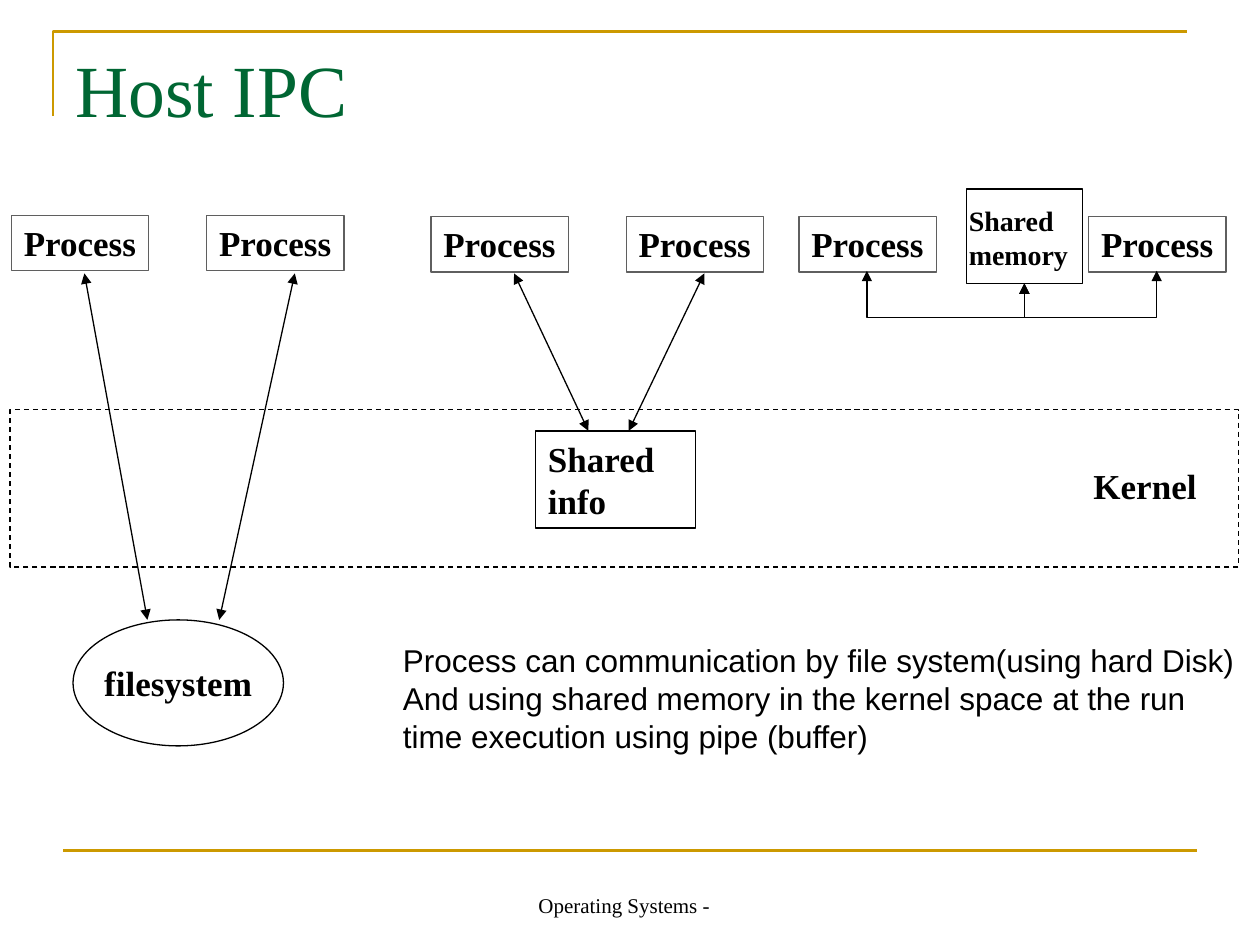
import pptx
import pptx.dml.color
import pptx.enum.dml
import pptx.enum.shapes
import pptx.enum.text
import pptx.oxml
import pptx.oxml.ns
import pptx.util
from pptx.util import Inches

SERIF = "Times New Roman"
BLACK, GREY, GOLD, GREEN = "000000", "5F5F5F", "CC9900", "006633"
SHAPES = pptx.enum.shapes.MSO_SHAPE
CONNECTORS = pptx.enum.shapes.MSO_CONNECTOR
ALIGN = pptx.enum.text.PP_ALIGN
ANCHOR = pptx.enum.text.MSO_ANCHOR


def color(hex_value):
    return pptx.dml.color.RGBColor.from_string(hex_value)


def write(box, text, size=20, font=SERIF, bold=True, ink=BLACK, align=ALIGN.LEFT,
          anchor=ANCHOR.TOP, wrap=True, right=0.1):
    """Fill a shape with text, one paragraph per line."""
    frame = box.text_frame
    frame.word_wrap = wrap
    frame.auto_size = pptx.enum.text.MSO_AUTO_SIZE.NONE
    frame.vertical_anchor = anchor
    frame.margin_left, frame.margin_right = Inches(0.1), Inches(right)
    frame.margin_top = frame.margin_bottom = Inches(0.05)
    for index, line in enumerate(text.split("\n")):
        para = frame.add_paragraph() if index else frame.paragraphs[0]
        para.alignment = align
        para.line_spacing = 1
        span = para.add_run()
        span.text = line
        span.font.size = pptx.util.Pt(size)
        span.font.name = font
        span.font.bold = bold
        span.font.color.rgb = color(ink)


def set_line(item, ink, width):
    item.line.color.rgb = color(ink)
    item.line.width = pptx.util.Pt(width)


def add_outline(page, kind, left, top, width, height, ink=BLACK):
    shape = page.shapes.add_shape(kind, Inches(left), Inches(top), Inches(width), Inches(height))
    shape.shadow.inherit = False
    shape.fill.background()
    set_line(shape, ink, 0.75)
    return shape


def add_text(page, left, top, width, height, text, **style):
    box = page.shapes.add_textbox(Inches(left), Inches(top), Inches(width), Inches(height))
    write(box, text, **style)


def add_process(page, left, top):
    box = add_outline(page, SHAPES.RECTANGLE, left, top, 1.09, 0.44, GREY)
    write(box, "Process", wrap=False)


def add_line(page, start, end, ink=BLACK, width=0.75, kind=CONNECTORS.STRAIGHT, arrows=True):
    line = page.shapes.add_connector(kind, *(Inches(value) for value in (*start, *end)))
    set_line(line, ink, width)
    properties = line._element.spPr
    properties.append(pptx.oxml.parse_xml(f'<a:effectLst {pptx.oxml.ns.nsdecls("a")}/>'))
    if arrows:
        for tag in ("headEnd", "tailEnd"):
            line.line._get_or_add_ln().append(pptx.oxml.parse_xml(
                f'<a:{tag} {pptx.oxml.ns.nsdecls("a")} type="triangle"/>'))
    return line


def add_bent_arrow(page, start, end, drop):
    """Join two points by an elbow that runs at a depth of drop below the start."""
    middle_x, middle_y = (start[0] + end[0]) / 2, (start[1] + end[1]) / 2
    half_width, half_height = abs(start[1] - end[1]) / 2, abs(start[0] - end[0]) / 2
    # The elbow is laid out sideways around its centre, then turned by a quarter.
    side = 1 if end[0] > start[0] else -1
    line = add_line(page, (middle_x + side * half_width, middle_y + half_height),
                    (middle_x - side * half_width, middle_y - half_height),
                    kind=CONNECTORS.ELBOW)
    properties = line._element.spPr
    properties.find(pptx.oxml.ns.qn("a:xfrm")).set("rot", str((90 if side > 0 else 270) * 60000))
    geometry = properties.find(pptx.oxml.ns.qn("a:prstGeom"))
    for old in list(geometry):
        geometry.remove(old)
    ratio = round(-drop / (2 * half_width) * 100000)
    geometry.append(pptx.oxml.parse_xml(
        f'<a:avLst {pptx.oxml.ns.nsdecls("a")}><a:gd name="adj1" fmla="val {ratio}"/></a:avLst>'))


def add_frame(page):
    builder = page.shapes.build_freeform(Inches(0.42), Inches(0.92))
    builder.add_line_segments([(Inches(0.42), Inches(0.25)), (Inches(9.42), Inches(0.25))],
                              close=False)
    corner = builder.convert_to_shape()
    corner.shadow.inherit = False
    corner.fill.background()
    set_line(corner, GOLD, 1.5)
    add_line(page, (0.5, 6.75), (9.5, 6.75), GOLD, 1.5, arrows=False)
    add_text(page, 3.42, 6.83, 3.17, 0.5, "Operating Systems -", size=12, bold=False,
             align=ALIGN.CENTER, anchor=ANCHOR.BOTTOM, right=0.2)


def add_title(page, text):
    title = page.shapes.title
    title.left, title.top, title.width, title.height = map(Inches, (0.5, 0.3, 9, 1.25))
    write(title, text, size=42, bold=False, ink=GREEN)


def main():
    deck = pptx.Presentation()
    deck.slide_width, deck.slide_height = Inches(10), Inches(7.5)
    page = deck.slides.add_slide(deck.slide_layouts[5])
    add_frame(page)
    add_title(page, "Host IPC")

    for left, top in ((0.09, 1.71), (1.64, 1.71), (3.42, 1.72), (4.97, 1.72),
                      (6.34, 1.72), (8.64, 1.72)):
        add_process(page, left, top)
    add_outline(page, SHAPES.RECTANGLE, 7.67, 1.5, 0.92, 0.75)
    kernel = add_outline(page, SHAPES.RECTANGLE, 0.08, 3.25, 9.75, 1.25)
    kernel.line.dash_style = pptx.enum.dml.MSO_LINE.DASH
    shared_info = add_outline(page, SHAPES.RECTANGLE, 4.25, 3.42, 1.27, 0.77)
    write(shared_info, "Shared info")
    filesystem = add_outline(page, SHAPES.OVAL, 0.58, 4.92, 1.67, 1)
    write(filesystem, "filesystem", align=ALIGN.CENTER, anchor=ANCHOR.MIDDLE, wrap=False)

    for start_x, end_x, end_y in ((0.67, 1.17, 4.92), (2.34, 1.74, 4.92),
                                  (4.08, 4.67, 3.42), (5.59, 4.99, 3.42)):
        add_line(page, (start_x, 2.17), (end_x, end_y))
    for process_x in (6.88, 9.18):
        add_bent_arrow(page, (8.13, 2.25), (process_x, 2.15), 0.27)

    add_text(page, 7.59, 1.57, 0.99, 0.64, "Shared\nmemory", size=16, wrap=False)
    add_text(page, 8.58, 3.64, 1.09, 0.44, "Kernel")
    add_text(page, 3.1, 5.04, 6.9, 1,
             "Process can communication by file system(using hard Disk)\n"
             "And using shared memory in the kernel space at the run time execution "
             "using pipe (buffer)", size=18, font="Arial", bold=False)
    deck.save("out.pptx")


if __name__ == "__main__":
    main()
